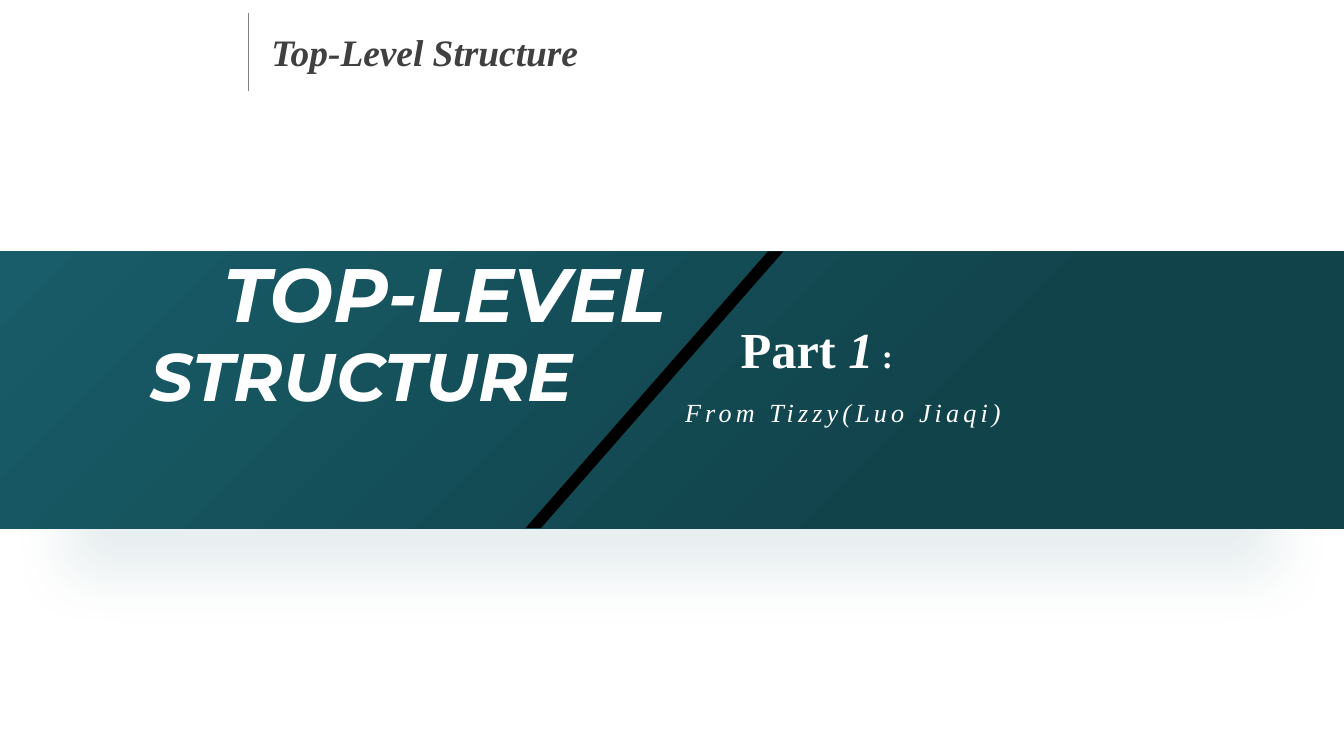
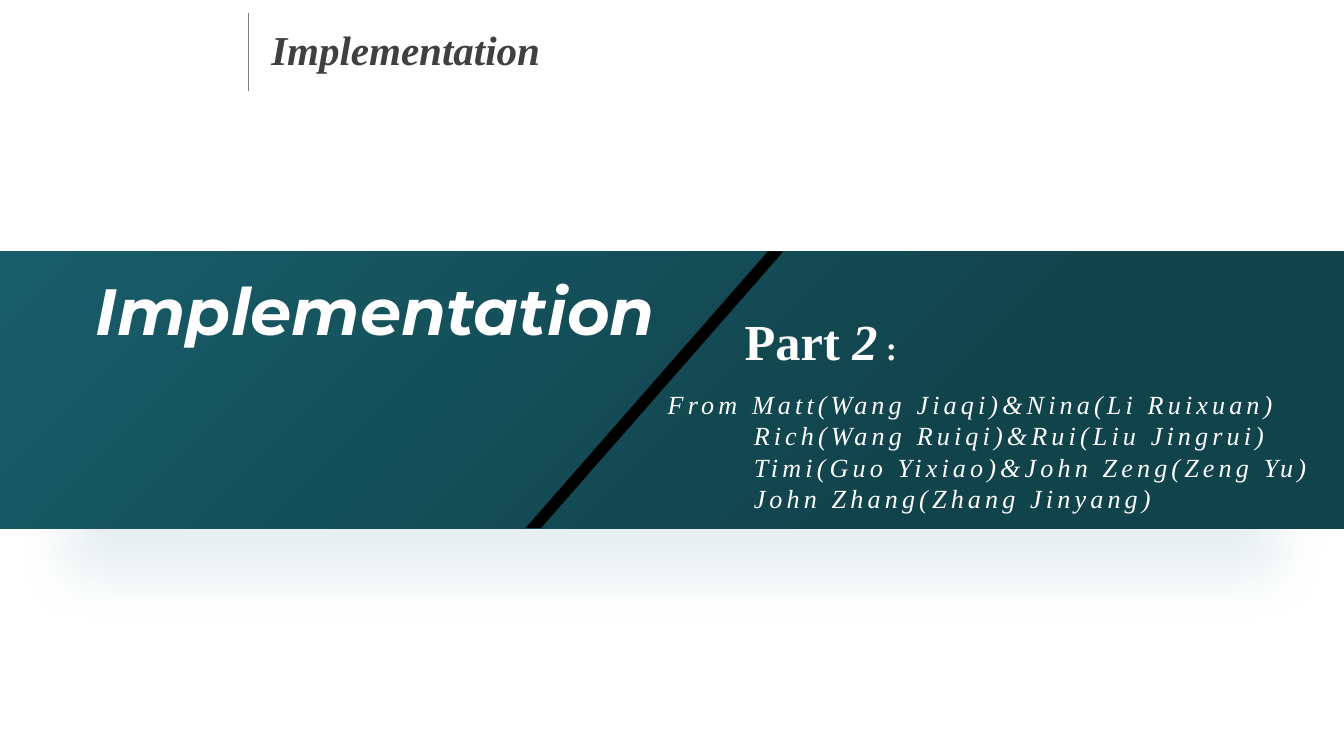
from lxml import etree
from pptx import Presentation
from pptx.dml.color import RGBColor
from pptx.enum.shapes import MSO_CONNECTOR, MSO_SHAPE
from pptx.enum.text import MSO_ANCHOR as Anchor, PP_ALIGN as Align
from pptx.oxml import parse_xml
from pptx.oxml.ns import nsdecls, qn
from pptx.util import Inches, Pt

WHITE = RGBColor(0xFF, 0xFF, 0xFF)
BLACK = RGBColor(0, 0, 0)
GRAY = RGBColor(0x80, 0x80, 0x80)
HEADING = RGBColor(0x40, 0x40, 0x40)
TEAL = RGBColor(0x18, 0x5D, 0x69)
DARK_TEAL = RGBColor(0x11, 0x43, 0x4B)
SERIF = "Times New Roman"
DISPLAY = "Montserrat"
SLIDE_WIDTH = Inches(10)
SLIDE_HEIGHT = SLIDE_WIDTH * 9 // 16
BAND_TOP, BAND_HEIGHT = 1.87, 2.06


def add_text(shapes, paragraphs, at, size=14, font=SERIF, color=WHITE, bold=False,
             italic=True, align=Align.LEFT, anchor=Anchor.TOP, wrap=True,
             spacing=0, hanging=0):
    """Each paragraph is a string or a list of (text, run overrides).

    Paragraphs after the first are indented by hanging inches.
    """
    frame = shapes.add_textbox(*map(Inches, at)).text_frame
    frame.word_wrap = wrap
    frame.vertical_anchor = anchor
    for index, content in enumerate(paragraphs):
        paragraph = frame.add_paragraph() if index else frame.paragraphs[0]
        paragraph.alignment = align
        if index and hanging:
            paragraph._p.get_or_add_pPr().set("marL", str(Inches(hanging)))
        runs = [(content, {})] if isinstance(content, str) else content
        for words, changes in runs:
            run = paragraph.add_run()
            run.text = words
            run.font.name = font
            run.font.color.rgb = color
            run.font.size = Pt(changes.get("size", size))
            run.font.bold = changes.get("bold", bold)
            run.font.italic = changes.get("italic", italic)
            if spacing:
                run._r.get_or_add_rPr().set("spc", str(round(spacing * 100)))


def add_heading(slide, words, top, height, size):
    rule = slide.shapes.add_connector(
        MSO_CONNECTOR.STRAIGHT, Inches(1.85), Inches(0.1), Inches(1.85), Inches(0.68))
    rule.line.color.rgb = GRAY
    rule.line.width = Pt(0.5)
    etree.SubElement(rule._element.spPr, qn("a:effectLst"))
    add_text(slide.shapes, [words], (1.92, top, 5.51, height), size=size,
             color=HEADING, bold=True)


def add_soft_shadow(shape):
    """Cast a faint, slightly narrower shadow below the shape."""
    shape._element.spPr.append(parse_xml(
        f'<a:effectLst {nsdecls("a")}><a:outerShdw blurRad="{Pt(30)}" dist="{Pt(40)}" '
        f'dir="5400000" sx="90000" sy="90000" algn="t" rotWithShape="0">'
        f'<a:srgbClr val="{TEAL}"><a:alpha val="10000"/></a:srgbClr>'
        f'</a:outerShdw></a:effectLst>'))


def add_band(slide):
    band = slide.shapes.add_shape(
        MSO_SHAPE.RECTANGLE, 0, Inches(BAND_TOP), SLIDE_WIDTH, Inches(BAND_HEIGHT))
    band.line.fill.background()
    band.fill.gradient()
    band.fill.gradient_angle = 315
    for stop, (position, color) in zip(band.fill.gradient_stops,
                                       [(0, TEAL), (0.71, DARK_TEAL)]):
        stop.position = position
        stop.color.rgb = color
    add_soft_shadow(band)


def add_slash(slide):
    slash = slide.shapes.add_shape(
        MSO_SHAPE.PARALLELOGRAM, Inches(3.91), Inches(BAND_TOP),
        Inches(1.92), Inches(BAND_HEIGHT))
    slash.adjustments[0] = 0.94
    slash.fill.solid()
    slash.fill.fore_color.rgb = BLACK
    slash.line.fill.background()
    slash.shadow.inherit = False


def add_band_title(shapes, words, at, size, anchor=Anchor.TOP):
    add_text(shapes, [words], at, size=size, font=DISPLAY, bold=True,
             align=Align.CENTER, anchor=anchor, wrap=False)


def add_part(slide, number, label_left, top, presenters, presenters_left, height):
    """Add the part number and, below it, the presenters."""
    label = [(" ", {"size": 18, "bold": False, "italic": False}),
             ("Part ", {"italic": False}), (number, {}),
             (" :", {"size": 18, "italic": False})]
    add_text(slide.shapes, [label], (label_left, top, 1.92, 0.56), size=27, bold=True)
    add_text(slide.shapes, presenters, (presenters_left, top + 0.58, 5.13, height),
             spacing=2.2, hanging=0.64)


def build_structure(slide):
    add_heading(slide, "Top-Level Structure", 0.17, 0.44, 20)
    add_band(slide)
    title = slide.shapes.add_group_shape().shapes
    add_band_title(title, "TOP-LEVEL", (1.54, 1.79, 3.54, 0.78), 40.5)
    add_band_title(title, "STRUCTURE", (0.99, 2.43, 3.4, 0.71), 36, Anchor.MIDDLE)
    add_slash(slide)
    add_part(slide, "1", 5.35, 2.32, ["From Tizzy(Luo Jiaqi)"], 5, 0.34)


def build_implementation(slide):
    add_heading(slide, "Implementation", 0.13, 0.47, 22)
    add_band(slide)
    add_band_title(slide.shapes, "Implementation", (0.59, 1.96, 4.41, 0.69), 35)
    add_slash(slide)
    add_part(slide, "2", 5.38, 2.26, [
        "From Matt(Wang Jiaqi)&Nina(Li Ruixuan)",
        "Rich(Wang Ruiqi)&Rui(Liu Jingrui)",
        "Timi(Guo Yixiao)&John Zeng(Zeng Yu)",
        "John Zhang(Zhang Jinyang)",
    ], 4.87, 1.51)


def main():
    deck = Presentation()
    deck.slide_width, deck.slide_height = SLIDE_WIDTH, SLIDE_HEIGHT
    for build in (build_structure, build_implementation):
        build(deck.slides.add_slide(deck.slide_layouts[6]))
    deck.save("out.pptx")


if __name__ == "__main__":
    main()
